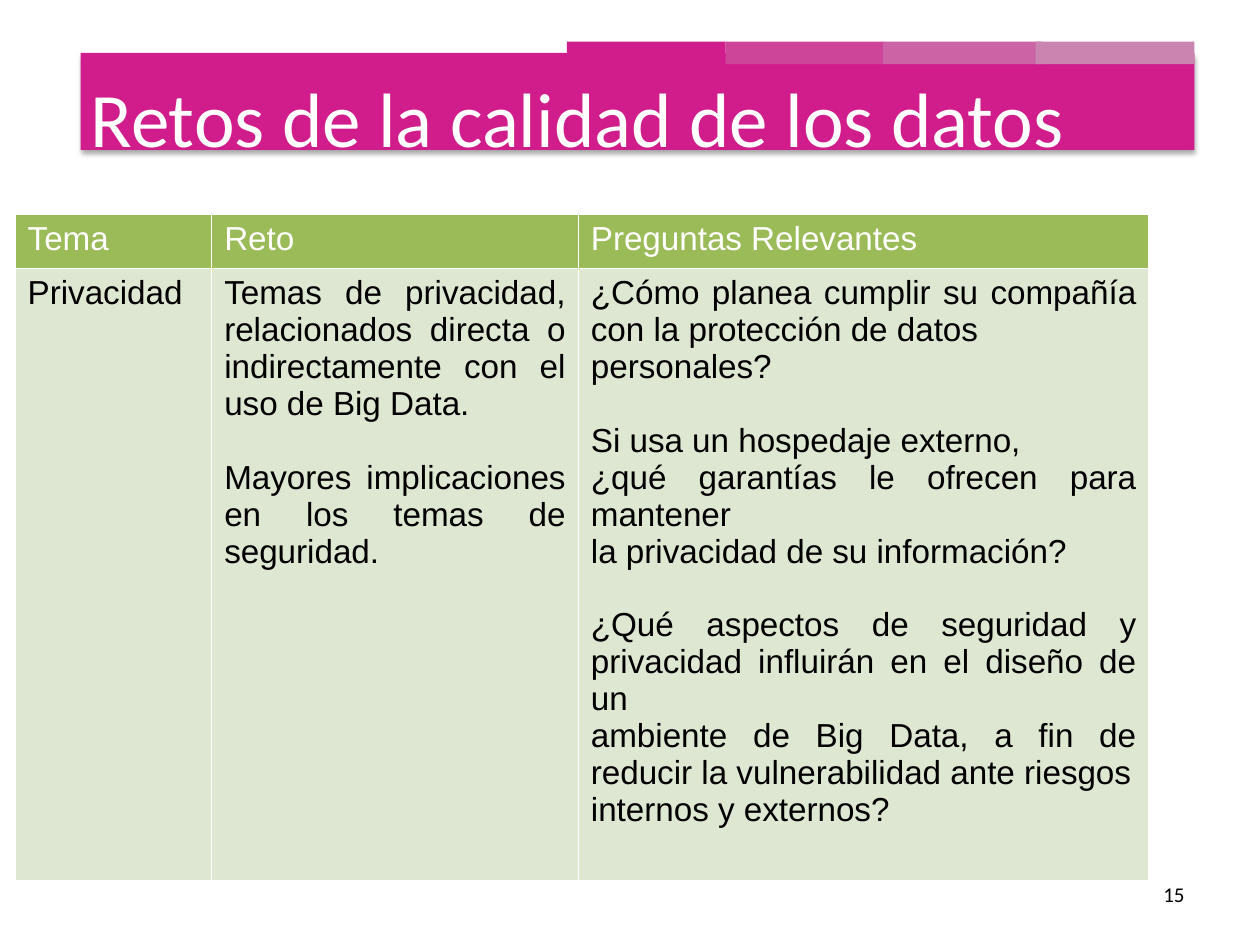
from lxml import etree
from pptx import Presentation
from pptx import util as u
from pptx.dml.color import RGBColor
from pptx.enum import shapes, text
from pptx.oxml import parse_xml
from pptx.oxml.ns import nsdecls, qn

PINK, WHITE, BLACK = "D11D8B", "FFFFFF", "000000"
HEADER_GREEN, BODY_GREEN = "9BBB59", "DEE7D1"
LEFT, CENTER, RIGHT, JUSTIFY = (
    text.PP_ALIGN.LEFT, text.PP_ALIGN.CENTER, text.PP_ALIGN.RIGHT, text.PP_ALIGN.JUSTIFY)

BAR_TOP, BAR_HEIGHT = 0.33, 0.18
ACCENTS = [(4.5, PINK), (5.76, "CD4599"), (7.01, "CC63A5"), (8.22, "C984B0")]

COLUMN_WIDTHS = [1.56, 2.91, 4.53]
ROW_HEIGHTS = [0.43, 4.86]
HEADINGS = ["Tema", "Reto", "Preguntas Relevantes"]
# Each body cell is a list of blocks; each block is a list of paragraphs.
BODY = [
    [["Privacidad"]],
    [
        ["Temas de privacidad, relacionados directa o indirectamente con el uso de Big Data."],
        ["Mayores implicaciones en los temas de seguridad."],
    ],
    [
        ["¿Cómo planea cumplir su compañía con la protección de datos", "personales?"],
        ["Si usa un hospedaje externo,",
         "¿qué garantías le ofrecen para mantener",
         "la privacidad de su información?"],
        ["¿Qué aspectos de seguridad y privacidad influirán en el diseño de un",
         "ambiente de Big Data, a fin de reducir la vulnerabilidad ante riesgos",
         "internos y externos?"],
    ],
]


def color(value):
    return RGBColor.from_string(value)


def box(left, top, width, height):
    return [u.Inches(value) for value in (left, top, width, height)]


class SlideBuilder:
    title_format = {"name": "Calibri", "size": u.Pt(44), "bold": False}
    table_format = {"name": "Arial", "size": u.Pt(19), "bold": False}
    number_format = {"name": "Calibri", "size": u.Pt(12), "bold": False}
    block_gap = u.Pt(21)

    def __init__(self, presentation):
        self.slide = presentation.slides.add_slide(presentation.slide_layouts[5])

    def fill_text(self, frame, blocks, font_format, font_color, alignment):
        """Fill a text frame, leaving a gap before every block but the first."""
        frame.word_wrap = True
        lines = [(line, number > 0 and position == 0)
                 for number, block in enumerate(blocks)
                 for position, line in enumerate(block)]
        for index, (line, has_gap) in enumerate(lines):
            paragraph = frame.add_paragraph() if index else frame.paragraphs[0]
            paragraph.text = line
            paragraph.alignment = alignment
            paragraph.space_before = self.block_gap if has_gap else u.Pt(0)
            for name, value in font_format.items():
                setattr(paragraph.font, name, value)
            paragraph.font.color.rgb = color(font_color)

    def bar(self, position, fill, shadow=False):
        shape = self.slide.shapes.add_shape(shapes.MSO_SHAPE.RECTANGLE, *box(*position))
        shape.fill.solid()
        shape.fill.fore_color.rgb = color(fill)
        shape.line.fill.background()
        shape.shadow.inherit = False
        if shadow:
            effects = shape.element.spPr.find(qn("a:effectLst"))
            effects.append(parse_xml(
                f'<a:outerShdw {nsdecls("a")} blurRad="{u.Pt(3.1)}" dist="{u.Pt(1.8)}" '
                'dir="5400000" rotWithShape="0"><a:srgbClr val="000000">'
                '<a:alpha val="35000"/></a:srgbClr></a:outerShdw>'))

    def title(self, words, position):
        """Place the title in front of the shapes drawn so far."""
        title = self.slide.shapes.title
        title.left, title.top, title.width, title.height = box(*position)
        title.text_frame.vertical_anchor = text.MSO_ANCHOR.MIDDLE
        self.fill_text(title.text_frame, [[words]], self.title_format, WHITE, CENTER)
        title.element.getparent().append(title.element)

    def label(self, words, position):
        frame = self.slide.shapes.add_textbox(*box(*position)).text_frame
        frame.vertical_anchor = text.MSO_ANCHOR.TOP
        self.fill_text(frame, [[words]], self.number_format, BLACK, RIGHT)

    def cell(self, cell, blocks, fill, font_color, alignment):
        self.fill_text(cell.text_frame, blocks, self.table_format, font_color, alignment)
        cell.fill.solid()
        cell.fill.fore_color.rgb = color(fill)
        properties = cell._tc.get_or_add_tcPr()
        for index, side in enumerate(("lnL", "lnR", "lnT", "lnB")):
            border = etree.Element(qn(f"a:{side}"), w=str(u.Pt(1)))
            paint = etree.SubElement(border, qn("a:solidFill"))
            etree.SubElement(paint, qn("a:srgbClr"), val=WHITE)
            properties.insert(index, border)

    def table(self, left, top):
        position = box(left, top, sum(COLUMN_WIDTHS), sum(ROW_HEIGHTS))
        table = self.slide.shapes.add_table(
            len(ROW_HEIGHTS), len(COLUMN_WIDTHS), *position).table
        for row, height in zip(table.rows, ROW_HEIGHTS):
            row.height = u.Inches(height)
        for index, width in enumerate(COLUMN_WIDTHS):
            table.columns[index].width = u.Inches(width)
            self.cell(table.cell(0, index), [[HEADINGS[index]]], HEADER_GREEN, WHITE, LEFT)
            self.cell(table.cell(1, index), BODY[index], BODY_GREEN, BLACK, JUSTIFY)


def main():
    presentation = Presentation()
    presentation.slide_width = u.Inches(10)
    presentation.slide_height = u.Inches(7.5)
    builder = SlideBuilder(presentation)
    builder.bar((0.64, 0.42, 8.84, 0.77), PINK, shadow=True)
    for left, fill in ACCENTS:
        builder.bar((left, BAR_TOP, 1.26, BAR_HEIGHT), fill)
    builder.title("Retos de la calidad de los datos", (0.42, 0.3, 8.33, 1.25))
    builder.table(0.12, 1.7)
    builder.label("15", (7.17, 6.95, 2.33, 0.4))
    presentation.save("out.pptx")


if __name__ == "__main__":
    main()
